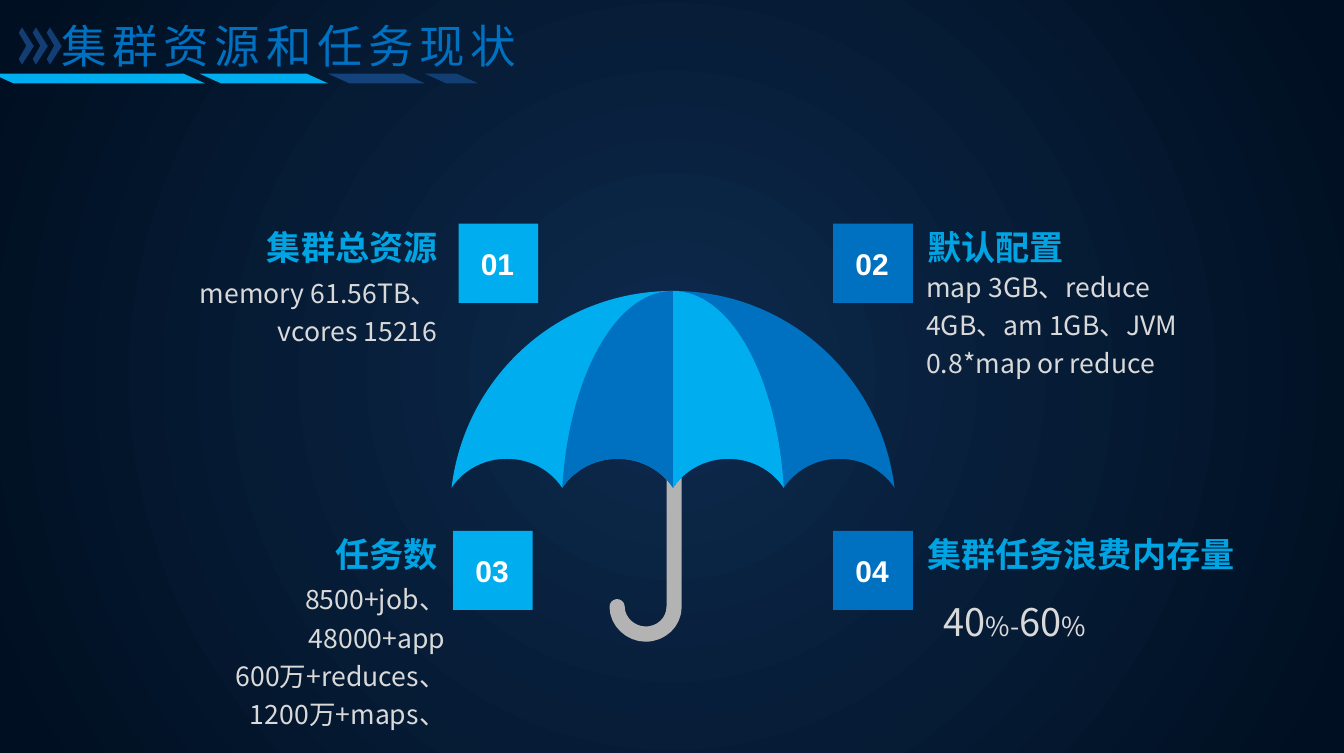
from lxml.etree import SubElement
from pptx import Presentation
from pptx.dml.color import RGBColor
from pptx.enum.shapes import MSO_SHAPE as Shape
from pptx.enum.text import MSO_ANCHOR as Anchor, MSO_AUTO_SIZE as AutoSize, PP_ALIGN as Align
from pptx.oxml.ns import qn
from pptx.util import Cm, Pt

SANS = "Noto Sans CJK SC"
SKY, BLUE, NAVY, DEEP = "00AEEF", "0070C0", "14427A", "133E73"
HEADING, PALE, WHITE, GREY = "00A4E3", "D9D9D9", "FFFFFF", "B3B3B3"
UMBRELLA_X, UMBRELLA_Y = 12.52, 5.41
SCALLOP, TIP_Y, CREST_Y = 2.06, 3.66, 3.12


def color(value):
    return RGBColor.from_string(value)


def paint(shape, fill):
    shape.shadow.inherit = False
    shape.fill.solid()
    shape.fill.fore_color.rgb = color(fill)
    shape.line.fill.background()


def add_span(para, text, size, tint, font=SANS, bold=False):
    span = para.add_run()
    span.text = text
    span.font.size = Pt(size)
    span.font.bold = bold
    span.font.color.rgb = color(tint)
    span.font.name = font
    SubElement(span.font._element, qn("a:ea"), typeface=SANS)
    return span


def set_frame(box, inset_x, inset_y, anchor=Anchor.TOP, wrap=True):
    frame = box.text_frame
    frame.auto_size = AutoSize.NONE
    frame.word_wrap = wrap
    frame.vertical_anchor = anchor
    frame.margin_left = frame.margin_right = Cm(inset_x)
    frame.margin_top = frame.margin_bottom = Cm(inset_y)
    return frame


def add_text(page, area, lines, align, size, tint, font=SANS, bold=False, inset_y=0, anchor=Anchor.TOP):
    box = page.shapes.add_textbox(*map(Cm, area))
    frame = set_frame(box, 0, inset_y, anchor)
    for index, line in enumerate(lines):
        para = frame.add_paragraph() if index else frame.paragraphs[0]
        para.alignment = align
        para.line_spacing = 1.2
        add_span(para, line, size, tint, font, bold)


def add_badge(page, left, top, number, fill):
    badge = page.shapes.add_shape(Shape.ROUNDED_RECTANGLE, Cm(left), Cm(top), Cm(1.48), Cm(1.47))
    badge.adjustments[0] = 0
    paint(badge, fill)
    add_text(page, (left + 0.13, top + 0.18, 1.19, 0.99), [number], Align.CENTER, 15.8,
             WHITE, "Arial", True, 0.2, Anchor.MIDDLE)


def add_outline(shapes, left, top, points, curves=0, closed=True):
    places = [(Cm(left + x), Cm(top + y)) for x, y in points]
    builder = shapes.build_freeform(*places[0])
    builder.add_line_segments(places[1:], close=closed)
    outline = builder.convert_to_shape()
    segments = list(outline._element.iter(qn("a:lnTo")))
    for index in range(0, 3 * curves, 3):
        bend, *rest = segments[index:index + 3]
        bend.tag = qn("a:cubicBezTo")
        for segment in rest:
            bend.append(segment[0])
            segment.getparent().remove(segment)
    return outline


def add_panel(shapes, side, scallops, fill):
    width = scallops * SCALLOP
    points = [(0, 0), (0.52 * width, 0), (0.94 * width, 1.6), (width, TIP_Y)]
    for index in range(scallops, 0, -1):
        right = index * SCALLOP
        left, middle = right - SCALLOP, right - SCALLOP / 2
        points += [(right - 0.22, 3.33), (middle + 0.43, CREST_Y), (middle, CREST_Y),
                   (middle - 0.43, CREST_Y), (left + 0.22, 3.33), (left, TIP_Y)]
    mirrored = [(side * x, y) for x, y in points]
    paint(add_outline(shapes, UMBRELLA_X, UMBRELLA_Y, mirrored, 1 + 2 * scallops), fill)


def add_umbrella(page):
    shapes = page.shapes.add_group_shape().shapes
    hook = [(-1.04, 5.87), (-1.04, 6.15), (-0.79, 6.38), (-0.51, 6.38),
            (-0.21, 6.38), (0.02, 6.15), (0.02, 5.87), (0.02, 1.65)]
    handle = add_outline(shapes, UMBRELLA_X, UMBRELLA_Y, hook, curves=2, closed=False)
    handle.shadow.inherit = False
    handle.fill.background()
    handle.line.color.rgb = color(GREY)
    handle.line.width = Pt(8)
    handle.line._ln.set("cap", "rnd")
    for side, scallops, fill in ((1, 2, BLUE), (-1, 2, SKY), (-1, 1, BLUE), (1, 1, SKY)):
        add_panel(shapes, side, scallops, fill)


def add_header(page):
    for left, width, fill in ((-0.15, 3.96, SKY), (3.71, 2.39, SKY), (6.1, 1.8, NAVY), (7.9, 0.99, DEEP)):
        bar = page.shapes.add_shape(Shape.PARALLELOGRAM, Cm(left), Cm(1.37), Cm(width), Cm(0.18))
        bar.adjustments[0] = 2.21
        bar._element.spPr.find(qn("a:xfrm")).set("flipV", "1")
        paint(bar, fill)
    title = page.shapes.title
    title.left, title.top, title.width, title.height = Cm(0.89), Cm(0.2), Cm(9.17), Cm(1.27)
    para = set_frame(title, 0.25, 0.13, Anchor.MIDDLE, wrap=False).paragraphs[0]
    para.alignment = Align.LEFT
    span = add_span(para, "集群资源和任务现状", 24, BLUE)
    span.font._element.set("spc", "300")
    chevron = ((0, 0.1), (0.06, 0), (0.28, 0.35), (0.06, 0.69), (0, 0.59), (0.14, 0.34))
    shapes = page.shapes.add_group_shape().shapes
    for index in range(3):
        paint(add_outline(shapes, 0.35 + 0.26 * index, 0.51, chevron), DEEP)


def add_waste_share(page):
    box = page.shapes.add_textbox(Cm(17.3), Cm(11), Cm(3.28), Cm(1.12))
    para = set_frame(box, 0.25, 0.13, Anchor.MIDDLE, wrap=False).paragraphs[0]
    for text, size in (("40", 20), ("%-", 14), ("60", 20), ("%", 14)):
        add_span(para, text, size, PALE)


def set_background(page):
    fill = page.background.fill
    fill.gradient()
    for stop, position, tint in zip(fill.gradient_stops, (0, 0.97), ("0D2A4D", "000F21")):
        stop.position = position
        stop.color.rgb = color(tint)
    gradient = page._element.find(".//" + qn("a:gradFill"))
    gradient.remove(gradient.find(qn("a:lin")))
    center = SubElement(gradient, qn("a:path"), path="circle")
    SubElement(center, qn("a:fillToRect"), l="50000", t="50000", r="50000", b="50000")


def main():
    deck = Presentation()
    deck.slide_width, deck.slide_height = Cm(25), Cm(14)
    page = deck.slides.add_slide(deck.slide_layouts[5])
    set_background(page)
    add_umbrella(page)
    topics = (
        ("01", 8.53, 4.16, SKY, "集群总资源", (4.89, 3.25), (3.52, 5.03, 4.62, 1.22),
         ["memory 61.56TB、vcores 15216"]),
        ("02", 15.5, 4.16, BLUE, "默认配置", (17.25, 3.12), (17.23, 4.92, 5.46, 2.34),
         ["map 3GB、reduce 4GB、am 1GB、JVM 0.8*map or reduce"]),
        ("03", 8.43, 9.87, SKY, "任务数", (5.48, 2.67), (3.52, 10.73, 4.77, 2.87),
         ["8500+job、48000+app", "600万+reduces、1200万+maps、"]),
        ("04", 15.5, 9.87, BLUE, "集群任务浪费内存量", (17.25, 6.65), None, []),
    )
    for number, left, top, fill, heading, (heading_left, width), area, lines in topics:
        align = Align.RIGHT if heading_left < left else Align.LEFT
        add_text(page, (heading_left, top - 0.31, width, 1.47), [heading], align, 18,
                 HEADING, "Arial", True, 0.2)
        if lines:
            add_text(page, area, lines, align, 14, PALE)
        add_badge(page, left, top, number, fill)
    add_header(page)
    add_waste_share(page)
    deck.save("out.pptx")


if __name__ == "__main__":
    main()
